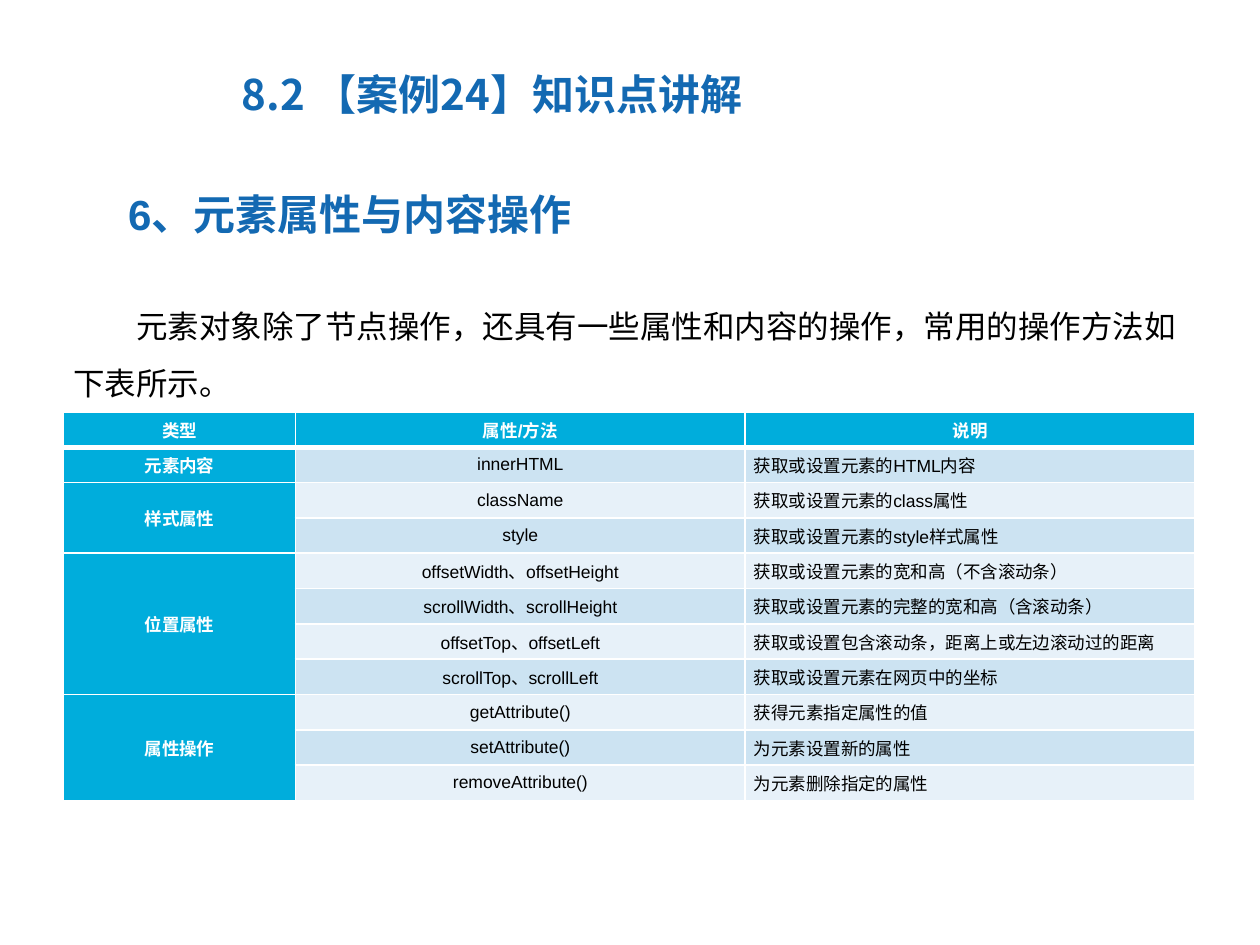
from dataclasses import dataclass

from lxml.etree import SubElement
from pptx import Presentation
from pptx.dml.color import RGBColor
from pptx.enum.text import MSO_ANCHOR as Anchor, MSO_AUTO_SIZE as AutoSize, PP_ALIGN as Align
from pptx.oxml.ns import qn
from pptx.util import Pt


@dataclass(frozen=True)
class Theme:
    heading: str = "1369B2"
    body: str = "000000"
    accent: str = "00ADDC"
    white: str = "FFFFFF"
    bands: tuple = ("CCE3F2", "E7F1F9")
    latin: str = "Arial"
    cjk: str = "Noto Sans CJK SC"
    heading_size: int = 24
    body_size: int = 18
    table_size: int = 10


HEADER = ("类型", "属性/方法", "说明")
GROUPS = (
    ("元素内容", (("innerHTML", "获取或设置元素的HTML内容"),)),
    ("样式属性", (
        ("className", "获取或设置元素的class属性"),
        ("style", "获取或设置元素的style样式属性"),
    )),
    ("位置属性", (
        ("offsetWidth、offsetHeight", "获取或设置元素的宽和高（不含滚动条）"),
        ("scrollWidth、scrollHeight", "获取或设置元素的完整的宽和高（含滚动条）"),
        ("offsetTop、offsetLeft", "获取或设置包含滚动条，距离上或左边滚动过的距离"),
        ("scrollTop、scrollLeft", "获取或设置元素在网页中的坐标"),
    )),
    ("属性操作", (
        ("getAttribute()", "获得元素指定属性的值"),
        ("setAttribute()", "为元素设置新的属性"),
        ("removeAttribute()", "为元素删除指定的属性"),
    )),
)


class SlideBuilder:
    def __init__(self, slide, theme):
        self.slide = slide
        self.theme = theme

    def style_text(self, frame, text, size, color, bold=False, font=None, align=Align.LEFT):
        frame.text = text
        paragraph = frame.paragraphs[0]
        paragraph.alignment = align
        for run in paragraph.runs:
            run.font.size = Pt(size)
            run.font.bold = bold
            run.font.name = font or self.theme.latin
            run.font.color.rgb = RGBColor.from_string(color)
            east_asian = SubElement(run._r.get_or_add_rPr(), qn("a:ea"))
            east_asian.set("typeface", self.theme.cjk)
        return paragraph

    def indent(self, paragraph, margin, first_line):
        properties = paragraph._p.get_or_add_pPr()
        properties.set("marL", str(Pt(margin)))
        properties.set("indent", str(Pt(first_line)))
        SubElement(properties, qn("a:buNone"))

    def place(self, shape, left, top, width, height):
        shape.left, shape.top = Pt(left), Pt(top)
        shape.width, shape.height = Pt(width), Pt(height)
        frame = shape.text_frame
        frame.word_wrap = True
        frame.auto_size = AutoSize.NONE
        frame.vertical_anchor = Anchor.TOP
        return frame

    def title(self, text, *box):
        frame = self.place(self.slide.shapes.title, *box)
        self.style_text(frame, text, self.theme.heading_size, self.theme.heading,
                        bold=True, font=self.theme.cjk)

    def body(self, text, *box):
        frame = self.place(self.slide.placeholders[1], *box)
        paragraph = self.style_text(frame, text, self.theme.body_size, self.theme.body)
        paragraph.line_spacing = 1.5
        paragraph.space_before = Pt(0)
        self.indent(paragraph, 0, 36)

    def subheading(self, text, *box):
        shape = self.slide.shapes.add_textbox(*map(Pt, box))
        frame = self.place(shape, *box)
        paragraph = self.style_text(frame, text, self.theme.heading_size,
                                    self.theme.heading, bold=True)
        self.indent(paragraph, 36, 0)

    def borders(self, cell, top=1, bottom=1):
        properties = cell._tc.get_or_add_tcPr()
        for side, width in (("L", 1), ("R", 1), ("T", top), ("B", bottom)):
            line = SubElement(properties, qn(f"a:ln{side}"), w=str(Pt(width)))
            fill = SubElement(line, qn("a:solidFill"))
            SubElement(fill, qn("a:srgbClr"), val=self.theme.white)

    def cell(self, cell, text, row, fill, label=False, align=Align.CENTER):
        self.borders(cell, top=3 if row == 1 else 1, bottom=3 if row == 0 else 1)
        cell.fill.solid()
        cell.fill.fore_color.rgb = RGBColor.from_string(fill)
        cell.vertical_anchor = Anchor.MIDDLE
        cell.margin_left = cell.margin_right = Pt(5)
        cell.margin_top = cell.margin_bottom = Pt(0)
        color = self.theme.white if label else self.theme.body
        self.style_text(cell.text_frame, text, self.theme.table_size, color,
                        bold=label, align=align)

    def table(self, header, groups, left, top, widths, row_height):
        row_count = 1 + sum(len(entries) for _, entries in groups)
        table = self.slide.shapes.add_table(
            row_count, len(widths), Pt(left), Pt(top),
            Pt(sum(widths)), Pt(row_height * row_count)).table
        for column, width in zip(table.columns, widths):
            column.width = Pt(width)
        for table_row in table.rows:
            table_row.height = Pt(row_height)

        # Header row
        for column, text in enumerate(header):
            self.cell(table.cell(0, column), text, 0, self.theme.accent, label=True)

        # One merged label per group, banded rows beside it
        row = 1
        for group, entries in groups:
            first = row
            for method, description in entries:
                band = self.theme.bands[(row - 1) % 2]
                self.cell(table.cell(row, 0), group if row == first else "", row,
                          self.theme.accent, label=True)
                self.cell(table.cell(row, 1), method, row, band)
                self.cell(table.cell(row, 2), description, row, band, align=Align.LEFT)
                row += 1
            if len(entries) > 1:
                table.cell(first, 0).merge(table.cell(row - 1, 0))


def main():
    deck = Presentation()
    deck.slide_width, deck.slide_height = Pt(720), Pt(540)
    builder = SlideBuilder(deck.slides.add_slide(deck.slide_layouts[1]), Theme())

    # Headings and introduction
    builder.title("8.2 【案例24】知识点讲解", 131, 35.3, 611, 57)
    builder.body("元素对象除了节点操作，还具有一些属性和内容的操作，常用的操作方法如下表所示。",
                 34.6, 161.3, 648, 117.4)
    builder.subheading("6、元素属性与内容操作", 30.2, 104.4, 602, 36)

    # Overview of properties and methods
    builder.table(HEADER, GROUPS, 36.3, 235.4, (132.5, 257, 257), 20.2)
    deck.save("out.pptx")


if __name__ == "__main__":
    main()
